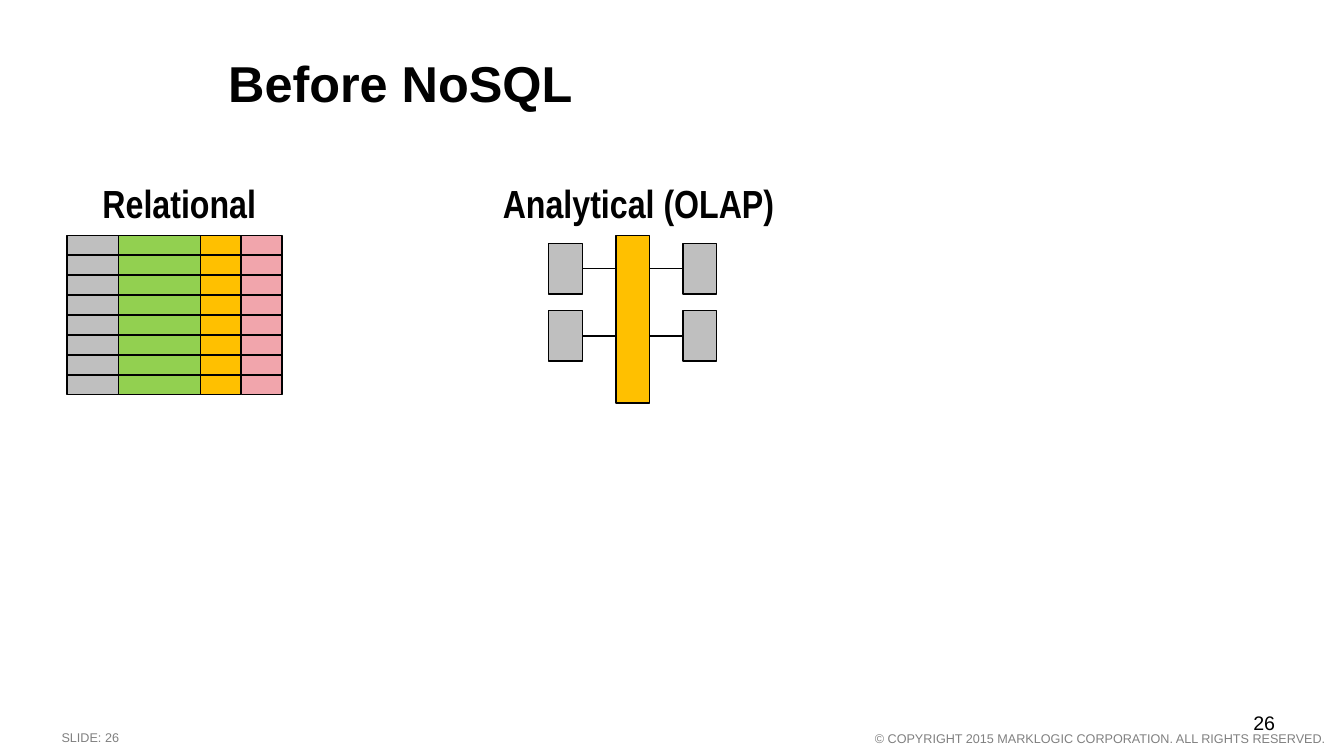
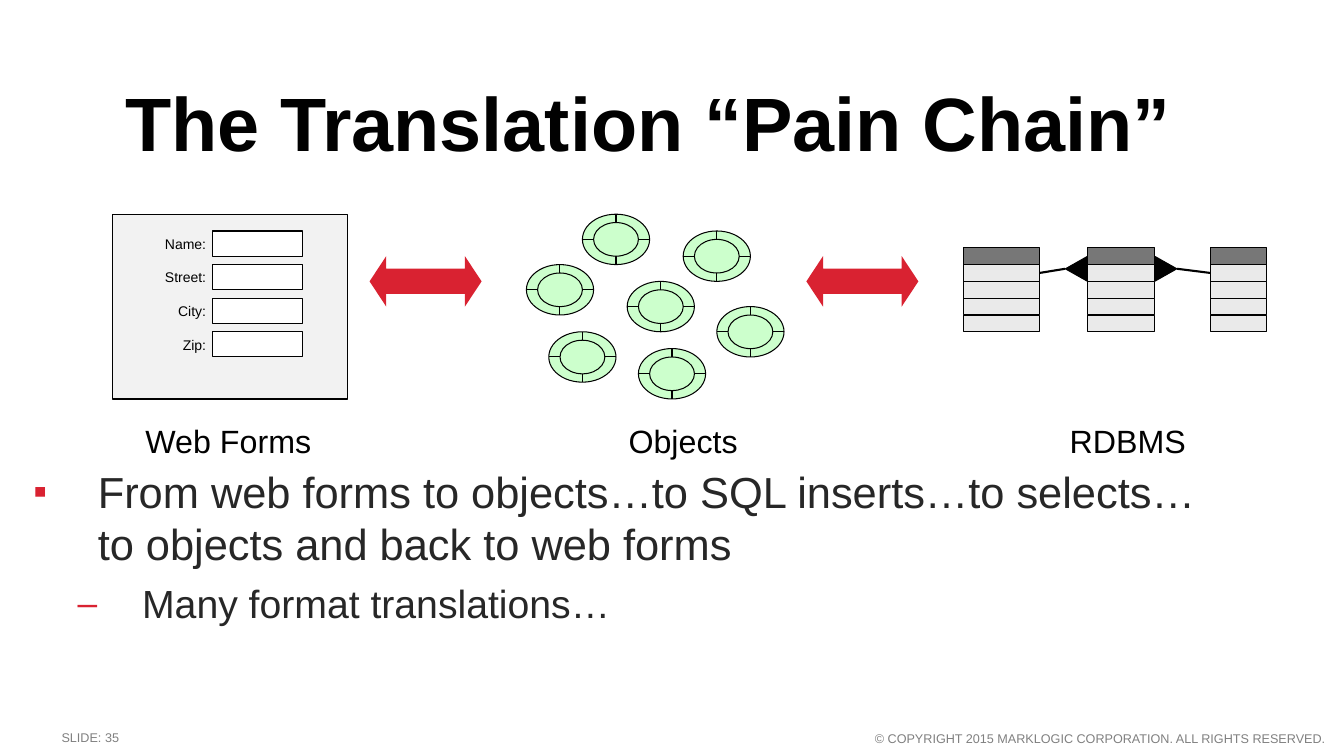
from dataclasses import dataclass

from lxml.etree import SubElement
from pptx import Presentation
from pptx.dml.color import RGBColor
from pptx.enum.shapes import MSO_CONNECTOR, MSO_SHAPE
from pptx.enum.text import MSO_ANCHOR, MSO_AUTO_SIZE, PP_ALIGN
from pptx.oxml.ns import qn
from pptx.util import Inches, Pt

WIDTH, HEIGHT = Inches(13.33), Inches(7.5)
COLUMNS, ROWS = 120, 90
TITLE_AND_BODY, TITLE_ONLY = 1, 5


@dataclass(frozen=True)
class Theme:
    font: str = "Arial"
    narrow: str = "Arial Narrow"
    ink: str = "010101"
    body: str = "272727"
    footer: str = "808080"
    accent: str = "D92231"
    grey: str = "BFBFBF"
    green: str = "92D050"
    amber: str = "FFC000"
    pink: str = "F1A5AC"
    mint: str = "CCFFCC"
    header: str = "777777"
    row: str = "EAEAEA"
    panel: str = "F2F2F2"
    white: str = "FFFFFF"
    title_leading: int = 58
    heading_size: int = 28
    caption_size: int = 23
    number_size: int = 14
    field_size: int = 10
    footer_size: int = 9
    bullet_sizes: tuple = (31, 28)
    thin: float = 0.75
    medium: float = 1
    thick: float = 1.5


THEME = Theme()


@dataclass(frozen=True)
class Box:
    """An area in grid columns and rows."""
    left: float
    top: float
    width: float
    height: float

    def inside(self, left, top, width, height):
        return Box(self.left + left, self.top + top, width, height)

    @property
    def emu(self):
        return (*point(self.left, self.top), *point(self.width, self.height))


def point(column, row):
    return round(WIDTH * column / COLUMNS), round(HEIGHT * row / ROWS)


def apply(target, formats):
    for name, value in formats.items():
        setattr(target, name, value)


def write(paragraph, text, size, color=THEME.ink, font=THEME.font, bold=False):
    run = paragraph.add_run()
    run.text = text
    apply(run.font, {"size": Pt(size), "name": font, "bold": bold})
    run.font.color.rgb = RGBColor.from_string(color)


def set_frame(frame, anchor=MSO_ANCHOR.TOP, side=0.0, end=0.0):
    apply(frame, {
        "word_wrap": True, "auto_size": MSO_AUTO_SIZE.NONE,
        "vertical_anchor": anchor,
        "margin_left": Inches(side), "margin_right": Inches(side),
        "margin_top": Inches(end), "margin_bottom": Inches(end),
    })


def add_text(slide, box, text, size, align=PP_ALIGN.LEFT,
             anchor=MSO_ANCHOR.MIDDLE, **style):
    frame = slide.shapes.add_textbox(*box.emu).text_frame
    set_frame(frame, anchor)
    paragraph = frame.paragraphs[0]
    paragraph.alignment = align
    write(paragraph, text, size, **style)


def add_shape(shapes, kind, box, fill, line_width=THEME.thin):
    shape = shapes.add_shape(kind, *box.emu)
    shape.shadow.inherit = False
    shape.fill.solid()
    shape.fill.fore_color.rgb = RGBColor.from_string(fill)
    if line_width:
        shape.line.color.rgb = RGBColor.from_string(THEME.ink)
        shape.line.width = Pt(line_width)
    else:
        shape.line.fill.background()
    return shape


def add_line(shapes, start, end, line_width=THEME.thin):
    line = shapes.add_connector(MSO_CONNECTOR.STRAIGHT, *point(*start), *point(*end))
    line.line.color.rgb = RGBColor.from_string(THEME.ink)
    line.line.width = Pt(line_width)
    SubElement(line._element.spPr, qn("a:effectLst"))
    return line


def fill_placeholder(placeholder, box):
    apply(placeholder, dict(zip(("left", "top", "width", "height"), box.emu)))
    set_frame(placeholder.text_frame, side=0.13, end=0.06)
    return placeholder.text_frame


def add_slide(presentation, layout, number, title, title_box, title_size):
    """Start a slide with its title and the shared footers."""
    slide = presentation.slides.add_slide(presentation.slide_layouts[layout])
    paragraph = fill_placeholder(slide.shapes.title, title_box).paragraphs[0]
    apply(paragraph, {"alignment": PP_ALIGN.LEFT,
                      "line_spacing": Pt(THEME.title_leading)})
    write(paragraph, title, title_size, bold=True)
    footers = (
        (Box(5.5, 86.9, 50, 2), f"SLIDE: {number}", PP_ALIGN.LEFT),
        (Box(76.3, 87, 42, 2),
         "© COPYRIGHT 2015 MARKLOGIC CORPORATION. ALL RIGHTS RESERVED.",
         PP_ALIGN.RIGHT),
    )
    for box, text, align in footers:
        add_text(slide, box, text, THEME.footer_size, align,
                 MSO_ANCHOR.TOP, color=THEME.footer)
    return slide


def add_heading(slide, box, text):
    add_text(slide, box, text, THEME.heading_size, PP_ALIGN.CENTER,
             font=THEME.narrow, bold=True)


def add_relational_grid(slide, box, row_count=8):
    shapes = slide.shapes.add_group_shape().shapes
    height = box.height / row_count
    left = 0
    for share, color in ((5, THEME.grey), (8, THEME.green),
                         (4, THEME.amber), (4, THEME.pink)):
        width = box.width * share / 21
        for row in range(row_count):
            add_shape(shapes, MSO_SHAPE.RECTANGLE,
                      box.inside(left, row * height, width, height),
                      color, THEME.medium)
        left += width


def add_star_schema(slide, box):
    """Draw a fact bar joined to two dimension tables on each side."""
    shapes = slide.shapes.add_group_shape().shapes
    unit = box.width / 5
    bar = box.inside(2 * unit, 0, unit, box.height)
    add_shape(shapes, MSO_SHAPE.RECTANGLE, bar, THEME.amber, THEME.medium)
    sides = ((0, bar.left, 3), (4 * unit, bar.left + unit, 1))
    for left, bar_edge, site in sides:
        for top in (0.05 * box.height, 0.45 * box.height):
            table = box.inside(left, top, unit, 0.3 * box.height)
            shape = add_shape(shapes, MSO_SHAPE.RECTANGLE, table,
                              THEME.grey, THEME.medium)
            middle = table.top + table.height / 2
            line = add_line(shapes, (table.left, middle), (bar_edge, middle),
                            THEME.medium)
            line.begin_connect(shape, site)


def add_web_form(slide, box):
    add_shape(slide.shapes, MSO_SHAPE.RECTANGLE, box, THEME.panel)
    for index, label in enumerate(("Name:", "Street:", "City:", "Zip:")):
        top = 2 + 4 * index
        add_shape(slide.shapes, MSO_SHAPE.RECTANGLE, box.inside(9, top, 8, 3),
                  THEME.white)
        add_text(slide, box.inside(1, top, 7.4, 3), label, THEME.field_size,
                 PP_ALIGN.RIGHT)


def add_object(slide, box):
    """Draw a ring cut into quarters."""
    shapes = slide.shapes.add_group_shape().shapes
    width, height = box.width, box.height
    inner = box.inside(1, 1, width - 2, height - 2)
    for ellipse in (box, inner):
        add_shape(shapes, MSO_SHAPE.OVAL, ellipse, THEME.mint)
    center, middle = box.left + width / 2, box.top + height / 2
    for row in (box.top, box.top + height - 1):
        add_line(shapes, (center, row), (center, row + 1))
    for column in (box.left, box.left + width - 1):
        add_line(shapes, (column, middle), (column + 1, middle))


def add_objects(slide, box):
    for left, top in ((5, 0), (0, 6), (9, 8), (2, 14), (10, 16), (14, 2), (17, 11)):
        add_object(slide, box.inside(left, top, 6, 6))


def add_database_table(slide, box, row_count=5):
    """Draw a header and rows, and return the first row below the header."""
    height = box.height / row_count
    cells = [
        add_shape(slide.shapes, MSO_SHAPE.RECTANGLE,
                  box.inside(0, row * height, box.width, height),
                  THEME.row if row else THEME.header)
        for row in range(row_count)
    ]
    return cells[1]


def add_database(slide, box):
    """Draw three tables, the middle one on the many side of both relations."""
    left_row, _, right_row = [
        add_database_table(slide, box.inside(left, 0, width, box.height))
        for left, width in ((0, 6.8), (11.1, 6), (22.1, 5))
    ]
    middle = box.top + 2.5
    for center, rotation, tip, row, site in (
            (10.1, 270, 9.1, left_row, 3), (18.1, 90, 19.1, right_row, 1)):
        # The triangle is turned a quarter, so its columns and rows trade places.
        foot = box.inside(center - 1.1, 1.2, 2.2, 2.6)
        shape = add_shape(slide.shapes, MSO_SHAPE.ISOSCELES_TRIANGLE, foot, THEME.ink)
        shape.rotation = rotation
        tip_point = (box.left + tip, middle)
        line = add_line(slide.shapes, tip_point, tip_point, THEME.thick)
        line.end_connect(row, site)


def add_translation_arrow(slide, box):
    arrow = add_shape(slide.shapes, MSO_SHAPE.LEFT_RIGHT_ARROW, box,
                      THEME.accent, line_width=0)
    arrow.adjustments[0], arrow.adjustments[1] = 0.5, 0.33


def set_bullet(paragraph, character, margin, hanging):
    properties = paragraph._p.get_or_add_pPr()
    properties.set("marL", str(Inches(margin)))
    properties.set("indent", str(-Inches(hanging)))
    color = SubElement(properties, qn("a:buClr"))
    SubElement(color, qn("a:srgbClr"), val=THEME.accent)
    SubElement(properties, qn("a:buSzPct"), val="90000")
    SubElement(properties, qn("a:buFont"), typeface=THEME.font)
    SubElement(properties, qn("a:buChar"), char=character)


def add_bullets(slide, box, items):
    frame = fill_placeholder(slide.placeholders[1], box)
    styles = (("▪", 0.84, 0), ("–", 1.28, 7.7))
    for index, (level, text) in enumerate(items):
        paragraph = frame.add_paragraph() if index else frame.paragraphs[0]
        character, margin, space = styles[level]
        set_bullet(paragraph, character, margin, 0.64)
        apply(paragraph, {"level": level, "space_before": Pt(space)})
        write(paragraph, text, THEME.bullet_sizes[level], THEME.body)


def build_before_nosql(presentation):
    slide = add_slide(presentation, TITLE_ONLY, 26, "Before NoSQL",
                      Box(19.2, 3, 69, 12.7), 36)
    add_heading(slide, Box(5, 21, 22, 6.4), "Relational")
    add_relational_grid(slide, Box(6, 28, 19.2, 19))
    add_heading(slide, Box(39, 21, 36, 6.4), "Analytical (OLAP)")
    add_star_schema(slide, Box(49, 28, 15, 20))
    add_text(slide, Box(111.9, 84.6, 5, 4), "26", THEME.number_size,
             anchor=MSO_ANCHOR.TOP)


def build_pain_chain(presentation):
    slide = add_slide(presentation, TITLE_AND_BODY, 35,
                      "The Translation “Pain Chain”",
                      Box(10, 9.4, 108.6, 12.7), 54)
    add_bullets(slide, Box(0, 54.6, 108, 29.3), (
        (0, "From web forms to objects…to SQL inserts…to selects…"
            "to objects and back to web forms"),
        (1, "Many format translations…"),
    ))
    add_web_form(slide, Box(10, 25.5, 21, 22))
    add_objects(slide, Box(47, 25.5, 23, 22))
    add_database(slide, Box(86, 29.5, 27.1, 10))
    for left in (33, 72):
        add_translation_arrow(slide, Box(left, 30.5, 10, 6))
    for center, caption in ((20.4, "Web Forms"), (61, "Objects"), (100.7, "RDBMS")):
        add_text(slide, Box(center - 10, 49.5, 20, 5.9), caption,
                 THEME.caption_size, PP_ALIGN.CENTER)


def main():
    presentation = Presentation()
    apply(presentation, {"slide_width": WIDTH, "slide_height": HEIGHT})
    build_before_nosql(presentation)
    build_pain_chain(presentation)
    presentation.save("out.pptx")


if __name__ == "__main__":
    main()
